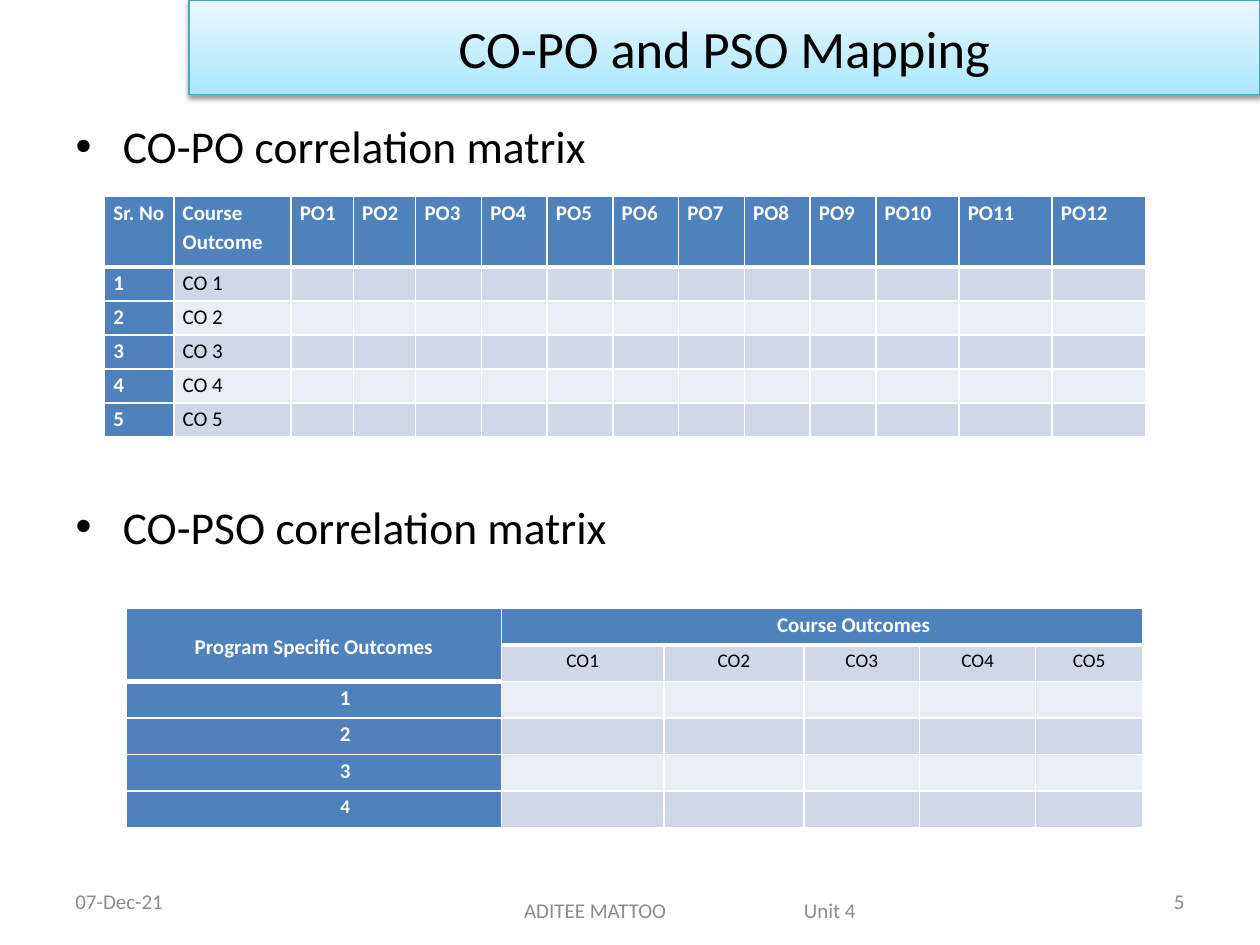
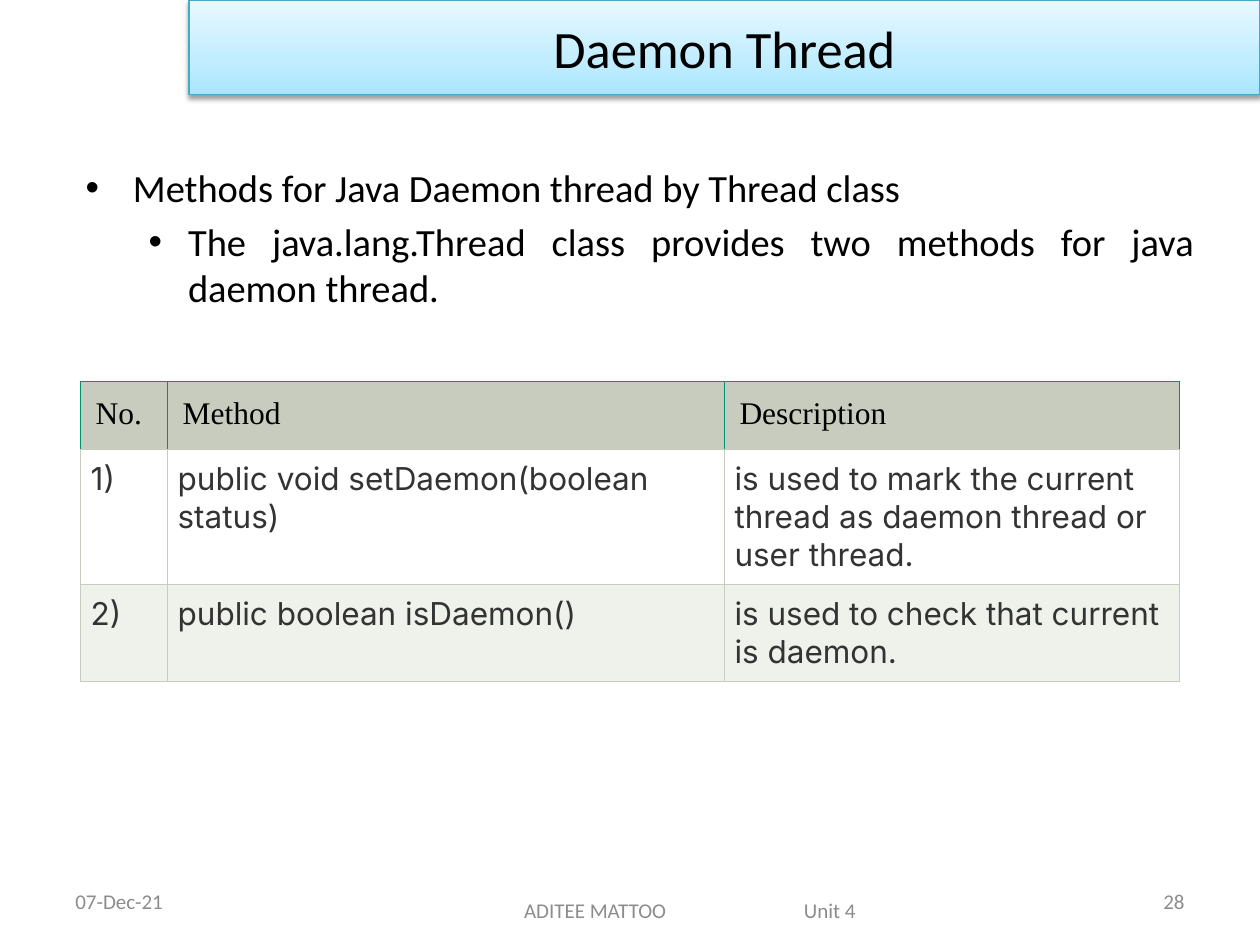
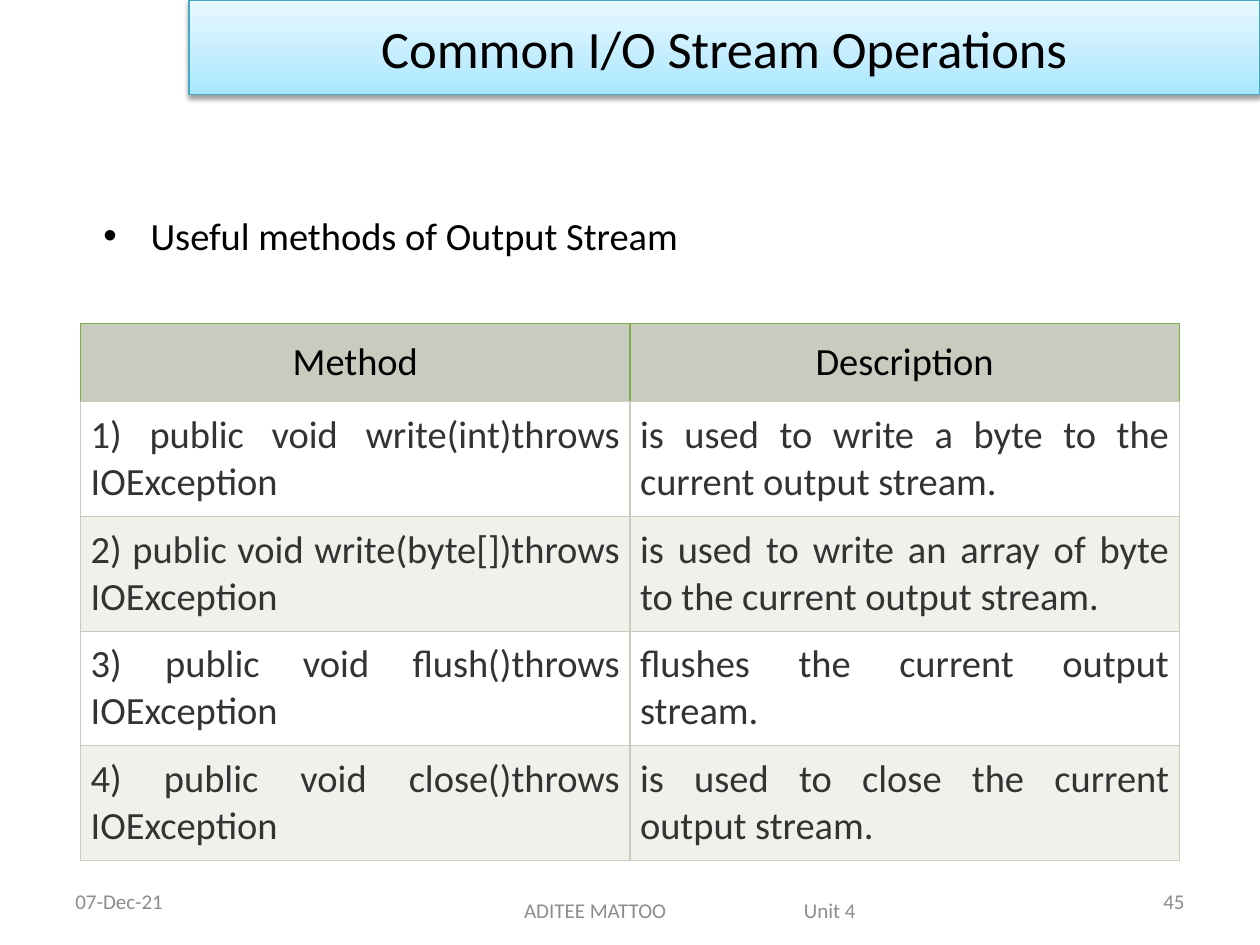
from lxml import etree
from pptx import Presentation
from pptx.dml.color import RGBColor
from pptx.enum.text import MSO_ANCHOR, MSO_AUTO_SIZE, PP_ALIGN
from pptx.oxml import parse_xml
from pptx.oxml.ns import qn
from pptx.util import Inches, Pt

LEFT, MID, RIGHT, JUST = PP_ALIGN.LEFT, PP_ALIGN.CENTER, PP_ALIGN.RIGHT, PP_ALIGN.JUSTIFY
TOP, CENTER = MSO_ANCHOR.TOP, MSO_ANCHOR.MIDDLE
FIXED = MSO_AUTO_SIZE.NONE
NS = 'xmlns:a="http://schemas.openxmlformats.org/drawingml/2006/main"'
WIDE, HIGH = 100, 75
BLACK, WHITE, GREY, INK = "000000", "FFFFFF", "8C8C8C", "333333"
BLUE, DARK, PALE = "4F81BD", "D0D8E8", "E9EDF4"
SAGE, MIST = "C7CCBE", "EFF1EB"


def unit(n):
    return Inches(n / 10)


def color(code):
    return RGBColor.from_string(code)


def write(para, text, size=12, font="Calibri", ink=BLACK, bold=False, align=None,
          line=None, before=None, level=0, inset=None, mark=None, tab=None):
    para.level = level
    if align is not None:
        para.alignment = align
    if line:
        para.line_spacing = line
    if before is not None:
        para.space_before = Pt(before)
    props = para._p.get_or_add_pPr()
    if inset:
        props.set("marL", str(unit(inset)))
    if mark:
        etree.SubElement(props, qn("a:buChar")).set("char", mark)
    if tab:
        stop = etree.SubElement(etree.SubElement(props, qn("a:tabLst")), qn("a:tab"))
        stop.set("pos", str(unit(tab)))
        stop.set("algn", "l")
    if text:
        run = para.add_run()
        run.text = text
        run.font.size, run.font.name, run.font.bold = Pt(size), font, bold
        run.font.color.rgb = color(ink)
    else:
        para._p.get_or_add_endParaRPr().set("sz", str(size * 100))


class Deck:
    stops = ((0, "A7E6FF"), (35, "C1EDFF"), (100, "E7F8FF"))
    edge = "46AAC5"
    small = dict(size=12, ink=GREY)

    def __init__(self):
        self.prs = Presentation()
        self.prs.slide_width, self.prs.slide_height = unit(WIDE), unit(HIGH)
        self.slide = None

    def place(self, shape, spot):
        shape.left, shape.top, shape.width, shape.height = map(unit, spot)
        shape.text_frame.auto_size = FIXED

    def page(self, title, number):
        self.slide = self.prs.slides.add_slide(self.prs.slide_layouts[1])
        self.band(title)
        self.note("07-Dec-21", (5, 69.5, 23.3, 4))
        self.note(str(number), (71.7, 69.5, 23.3, 4), align=RIGHT)
        self.note("ADITEE MATTOO\tUnit 4", (27.5, 69.5, 55, 5.5), pad=14.1, tab=22.2)

    def band(self, title):
        shape = self.slide.shapes.title
        self.place(shape, (15, 0, 85, 7.5))
        shape.line.color.rgb, shape.line.width = color(self.edge), Pt(0.75)
        stops = "".join(f'<a:gs pos="{at * 1000}"><a:srgbClr val="{code}"/></a:gs>'
                        for at, code in self.stops)
        shape.line._ln.addprevious(parse_xml(
            f'<a:gradFill {NS} rotWithShape="1"><a:gsLst>{stops}</a:gsLst>'
            '<a:lin ang="16200000" scaled="0"/></a:gradFill>'))
        shape.line._ln.addnext(parse_xml(
            f'<a:effectLst {NS}><a:outerShdw blurRad="{Pt(3.1)}" dist="{Pt(1.6)}" '
            f'dir="5400000" rotWithShape="0"><a:srgbClr val="{BLACK}">'
            '<a:alpha val="38000"/></a:srgbClr></a:outerShdw></a:effectLst>'))
        write(shape.text_frame.paragraphs[0], title, size=30, align=MID)

    def note(self, text, spot, pad=1, **fmt):
        box = self.slide.shapes.add_textbox(*map(unit, spot))
        frame = box.text_frame
        frame.word_wrap, frame.vertical_anchor = True, CENTER
        frame.margin_left = unit(pad)
        write(frame.paragraphs[0], text, **self.small, **fmt)

    def points(self, spot, items, **fmt):
        body = self.slide.placeholders[1]
        self.place(body, spot)
        frame = body.text_frame
        for i, (text, extra) in enumerate(items):
            para = frame.add_paragraph() if i else frame.paragraphs[0]
            write(para, text, **{**fmt, **extra})

    def table(self, spot, cols, rows, cells, look, spans=()):
        shape = self.slide.shapes.add_table(len(rows), len(cols), *map(unit, spot),
                                            unit(sum(cols)), unit(sum(rows)))
        grid = shape.table
        grid.first_row = grid.horz_banding = False
        for part, sizes in ((grid.columns, cols), (grid.rows, rows)):
            for item, size in zip(part, sizes):
                (setattr(item, "width", unit(size)) if part is grid.columns
                 else setattr(item, "height", unit(size)))
        for r, line in enumerate(cells):
            for c, text in enumerate(line):
                self.cell(grid.cell(r, c), text, **look(r, c))
        for first, last in spans:
            grid.cell(*first).merge(grid.cell(*last))

    def cell(self, cell, text, fill, edges, pad, anchor=TOP, **fmt):
        cell.margin_left = cell.margin_right = unit(pad[0])
        cell.margin_top = cell.margin_bottom = unit(pad[1])
        cell.vertical_anchor = anchor
        cell.fill.solid()
        cell.fill.fore_color.rgb = color(fill)
        props = cell._tc.get_or_add_tcPr()
        for i, (side, (code, width)) in enumerate(zip("LRTB", edges)):
            props.insert(i, parse_xml(
                f'<a:ln{side} {NS} w="{Pt(width)}"><a:solidFill><a:srgbClr val="{code}"/>'
                f'</a:solidFill></a:ln{side}>'))
        write(cell.text_frame.paragraphs[0], text, **fmt)


def matrix(thick, head, shade, **extra):
    def look(r, c):
        main = head(r, c)
        above, below = (3 if spot in thick else 1 for spot in ((r - 1, c), (r, c)))
        fmt = dict(fill=BLUE if main else (DARK, PALE)[(r + shade) % 2], pad=(0.7, 0),
                   edges=[(WHITE, w) for w in (1, 1, above, below)], line=1.15,
                   ink=WHITE if main else BLACK, bold=main)
        return {**fmt, **extra.get("more", lambda r, c: {})(r, c)}
    return look


def method(edge, head, body):
    def look(r, c):
        rim = (edge if r == 0 else SAGE, 0.75)
        fill = SAGE if r == 0 else (MIST, WHITE)[r % 2]
        fmt = head if r == 0 else dict(ink=INK, **body)
        pad = (1.2, 1.2) if r == 0 else (0.8, 0.8)
        return dict(fill=fill, pad=pad, edges=[rim] * 3 + [(SAGE, 0.75)], **fmt)
    return look


def program(r, c):
    if c == 0:
        if r < 2:
            return dict(align=MID, anchor=CENTER)
        return dict(align=MID, inset=5, size=11 if r == 5 else 12)
    return dict(align=MID, inset=5) if r == 0 else dict(align=MID, size=11)


def mapping(deck):
    deck.page("CO-PO and PSO Mapping", 5)
    deck.points((5, 8.9, 90, 58.1), [("CO-PO correlation matrix", {}),
                                     ("CO-PSO correlation matrix", dict(before=186))], size=26)
    names = ["Sr. No", "Course Outcome"] + [f"PO{n}" for n in range(1, 13)]
    rows = [[str(n), f"CO {n}"] + [""] * 12 for n in range(1, 6)]
    deck.table((8.3, 15.6), [5.5, 9.3] + [4.95] * 2 + [5.22] * 7 + [6.6, 7.4, 7.4],
               [5.6] + [2.7] * 5, [names] + rows,
               matrix({(0, c) for c in range(14)}, lambda r, c: r == 0 or c == 0, 1))
    cells = [["Program Specific Outcomes", "Course Outcomes"] + [""] * 4,
             [""] + [f"CO{n}" for n in range(1, 6)]]
    cells += [[str(n)] + [""] * 5 for n in range(1, 5)]
    deck.table((10, 48.3), [29.8, 12.9, 11.1, 9.2, 9.2, 8.5], [2.9] * 6, cells,
               matrix({(0, c) for c in range(1, 6)} | {(1, 0)},
                      lambda r, c: r == 0 or c == 0, 1, more=program),
               spans=(((0, 0), (1, 0)), ((0, 1), (0, 5))))


def daemon(deck):
    deck.page("Daemon Thread", 28)
    deck.points((5.8, 12.5, 90, 55.5), [
        ("Methods for Java Daemon thread by Thread class", {}),
        ("The java.lang.Thread class provides two methods for java daemon thread.",
         dict(level=1, mark="•"))], size=22, align=JUST)
    deck.table((6.4, 30.3), [6.9, 44.2, 36.1], [5.2, 10.7, 7.7], [
        ["No.", "Method", "Description"],
        ["1)", "public void setDaemon(boolean status)",
         "is used to mark the current thread as daemon thread or user thread."],
        ["2)", "public boolean isDaemon()", "is used to check that current is daemon."]],
        method("00926F", dict(size=18, font="Times New Roman", align=LEFT),
               dict(size=18, font="Inter", align=LEFT)))


def stream(deck):
    deck.page("Common I/O Stream Operations", 45)
    deck.points((7.2, 16.3, 49.5, 4.7), [("Useful methods of Output Stream", {})],
                size=22, align=JUST, before=0)
    deck.table((6.4, 25.7), [43.6] * 2, [6.2] + [9.1] * 4, [
        ["Method", "Description"],
        ["1) public void write(int)throws IOException",
         "is used to write a byte to the current output stream."],
        ["2) public void write(byte[])throws IOException",
         "is used to write an array of byte to the current output stream."],
        ["3) public void flush()throws IOException", "flushes the current output stream."],
        ["4) public void close()throws IOException",
         "is used to close the current output stream."]],
        method("80AD49", dict(size=22, align=MID), dict(size=22, align=JUST)))


def main():
    deck = Deck()
    for build in (mapping, daemon, stream):
        build(deck)
    deck.prs.save("out.pptx")


if __name__ == "__main__":
    main()
